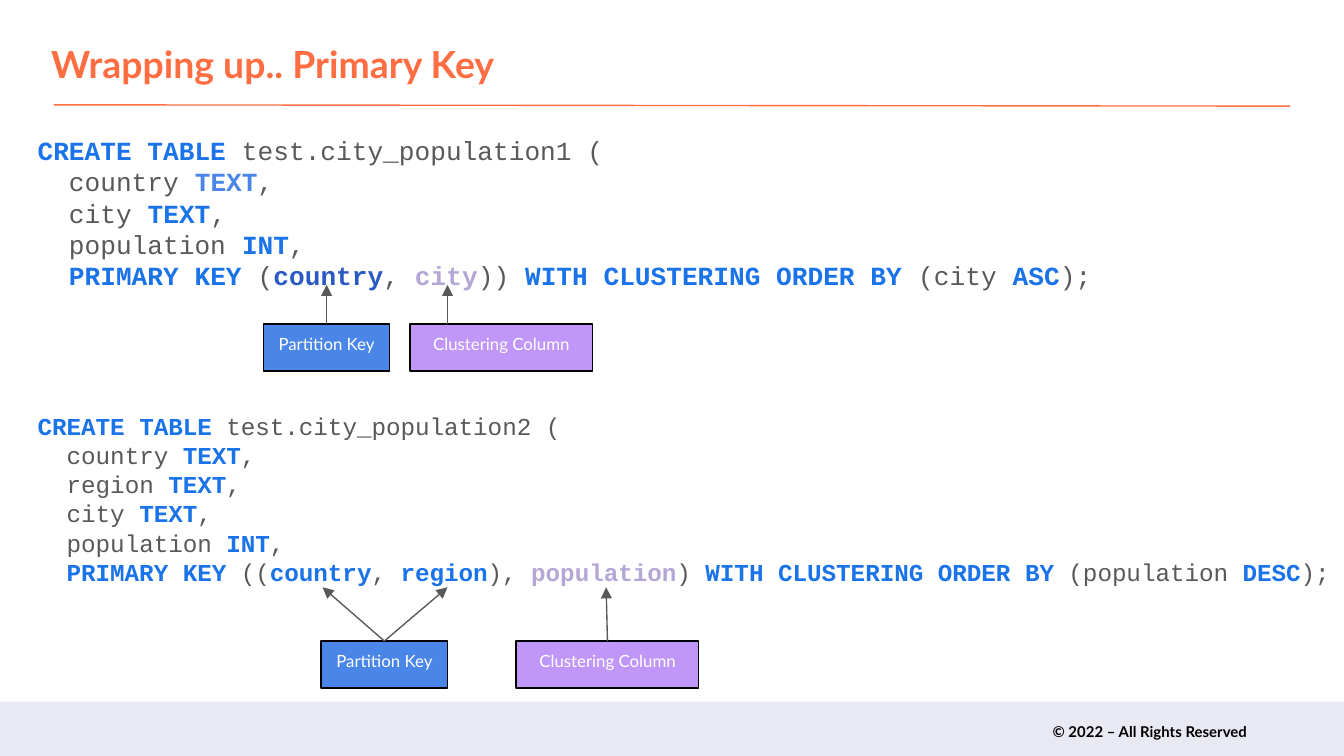
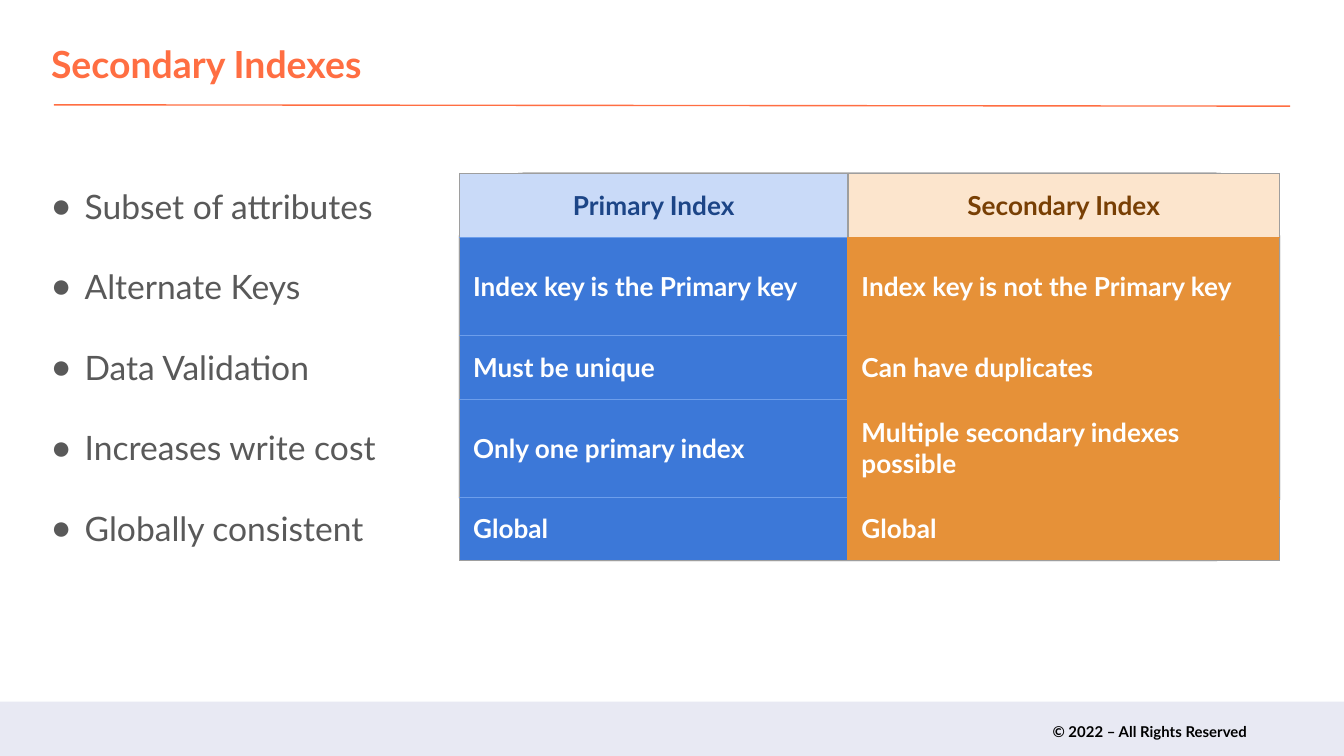
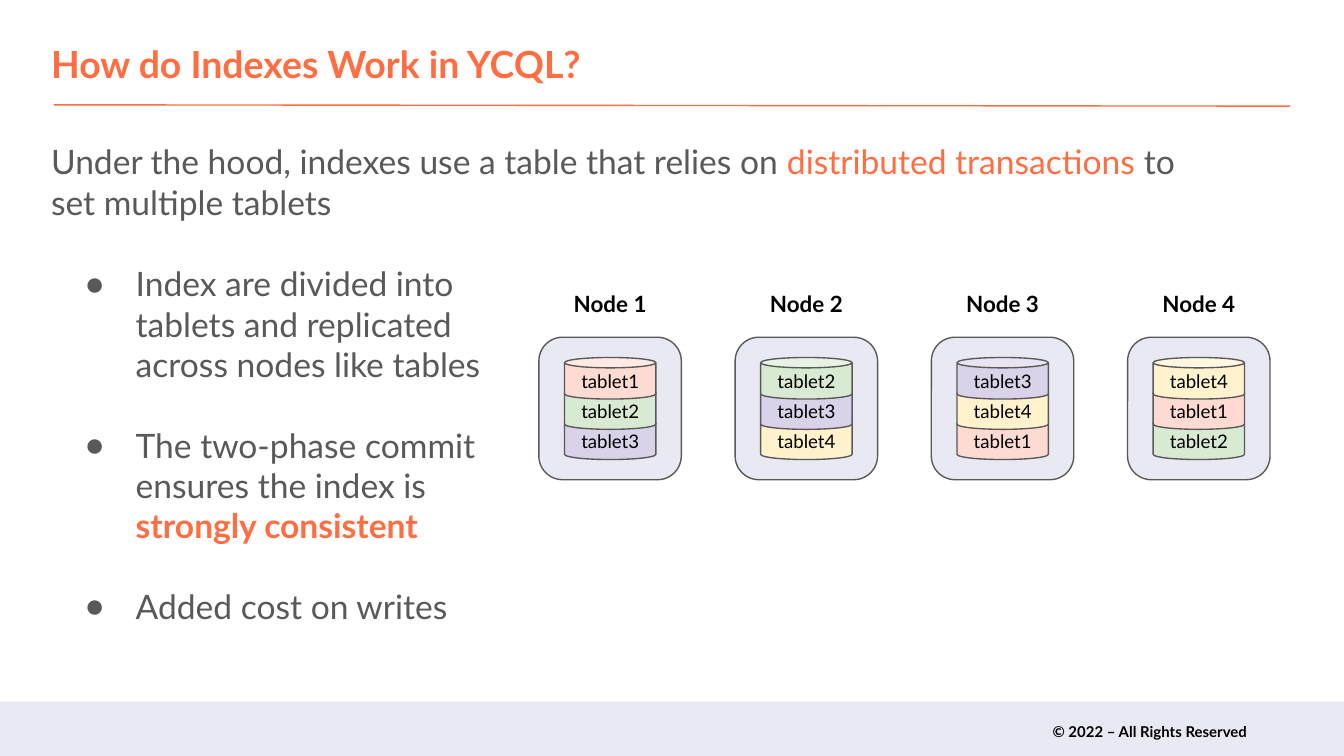
from pptx import Presentation
from pptx.dml.color import RGBColor
from pptx.enum.shapes import MSO_CONNECTOR, MSO_SHAPE
from pptx.enum.text import MSO_ANCHOR, MSO_AUTO_SIZE, PP_ALIGN
from pptx.oxml.ns import qn
from pptx.util import Inches, Pt
from lxml.etree import SubElement

UNIT = Inches(0.1)
WIDE, HIGH = 100, 56.25
HUES = dict(
    orange="FF6E42", ink="595959", mist="E8E9F3", black="000000", white="FFFFFF",
    key="1A73E8", sky="4A86E8", navy="2B59C3", lilac="B4A7D6", violet="C097F8",
)
MID, LEFT = PP_ALIGN.CENTER, PP_ALIGN.LEFT


def paint(part, tone):
    part.rgb = RGBColor.from_string(HUES.get(tone, tone))


def grid(*spans):
    return [round(span * UNIT) for span in spans]


def bullet(para, left, hang):
    props = para._p.get_or_add_pPr()
    props.set("marL", str(Inches(left)))
    props.set("indent", str(-Inches(hang)))
    if hang:
        tint = SubElement(props, qn("a:buClr"))
        SubElement(tint, qn("a:srgbClr"), val=HUES["ink"])
        SubElement(props, qn("a:buChar"), char="●")
    else:
        SubElement(props, qn("a:buNone"))


def put(frame, lines, size=18, tone="ink", font="Lato", bold=False, mark="orange",
        strong=True, align=LEFT, gap=0, dent=None):
    for row, line in enumerate(lines):
        para = frame.add_paragraph() if row else frame.paragraphs[0]
        if dent:
            bullet(para, *dent)
        para.alignment = align
        para.space_before = Pt(gap if row else 0)
        for turn, piece in enumerate(line.split("*")):
            if not piece:
                continue
            hue, _, word = piece.rpartition(":")
            run = para.add_run()
            run.text = word
            run.font.name, run.font.size = font, Pt(size)
            run.font.bold = strong if turn % 2 else bold
            paint(run.font.color, (hue or mark) if turn % 2 else tone)


def setup(frame, pad=(0.1, 0.1), anchor=MSO_ANCHOR.TOP):
    frame.word_wrap, frame.auto_size = True, MSO_AUTO_SIZE.NONE
    frame.vertical_anchor = anchor
    frame.margin_left = frame.margin_right = Inches(pad[0])
    frame.margin_top = frame.margin_bottom = Inches(pad[1])
    return frame


def note(slide, box, lines, pad=(0.1, 0.1), anchor=MSO_ANCHOR.TOP, **style):
    area = slide.shapes.add_textbox(*grid(*box))
    put(setup(area.text_frame, pad, anchor), lines, **style)


def hold(area, box, lines, **style):
    area.left, area.top, area.width, area.height = grid(*box)
    put(setup(area.text_frame), lines, **style)


def block(slide, kind, box, fill, line=None):
    shape = slide.shapes.add_shape(kind, *grid(*box))
    shape.shadow.inherit = False
    shape.fill.solid()
    paint(shape.fill.fore_color, fill)
    if line:
        paint(shape.line.color, line)
        shape.line.width = Pt(0.75)
    else:
        shape.line.fill.background()
    return shape


def rule(slide, start, end, tone, arrow=False):
    line = slide.shapes.add_connector(MSO_CONNECTOR.STRAIGHT, *grid(*start, *end))
    paint(line.line.color, tone)
    line.line.width = Pt(0.75)
    if arrow:
        SubElement(line.line._get_or_add_ln(), qn("a:tailEnd"), type="triangle")
    SubElement(line._element.spPr, qn("a:effectLst"))
    return line


def page(deck, layout, title):
    slide = deck.slides.add_slide(deck.slide_layouts[layout])
    block(slide, MSO_SHAPE.RECTANGLE, (0, 52.2, WIDE, HIGH - 52.2), "mist")
    note(slide, (73, 52.6, 20.8, 3.6), ["© 2022 – All Rights Reserved"], size=8,
         tone="black", bold=True, align=PP_ALIGN.RIGHT, anchor=MSO_ANCHOR.MIDDLE)
    rule(slide, (4, 7.8), (96, 7.9), "orange")
    hold(slide.shapes.title, (2.8, 2.1, 94.4, 5.2), [title], size=20,
         tone="orange", bold=True)
    return slide


def code(slide, box, size, lines):
    note(slide, box, lines, pad=(0.07, 0.04), size=size, font="Courier New",
         mark="key")


def tag(slide, box, text, fill, tips, start=None):
    left, top, width, _ = box
    shape = block(slide, MSO_SHAPE.RECTANGLE, box, fill, "black")
    put(setup(shape.text_frame, (0.1, 0.07)), [text], size=9, tone="white", align=MID)
    for tip in tips:
        line = rule(slide, (start or left + width / 2, top), tip, "ink", True)
        if start is None:
            line.begin_connect(shape, 0)


def edge(cell, side, tone):
    line = SubElement(cell._tc.get_or_add_tcPr(), qn("a:ln" + side), w=str(Pt(0.75)))
    SubElement(SubElement(line, qn("a:solidFill")), qn("a:srgbClr"), val=tone)


def table(slide, box, cols, rows, data):
    grey, seam = "9E9E9E", "E69138"
    heads = [("C9DAF8", "1C4587"), ("FCE5CD", "783F04")]
    fills, seams = ["3C78D8", seam], ["6D9EEB", seam]
    block(slide, MSO_SHAPE.ROUNDED_RECTANGLE, box, "mist", "ink")
    chart = slide.shapes.add_table(len(rows), len(cols), *grid(*box)).table
    chart.first_row = chart.horz_banding = False
    for col, width in zip(chart.columns, grid(*cols)):
        col.width = width
    for row, high in zip(chart.rows, grid(*rows)):
        row.height = high
    for r, texts in enumerate(data):
        for c, text in enumerate(texts):
            cell = chart.cell(r, c)
            fill, tone = (fills[c], "white") if r else heads[c]
            cell.vertical_anchor = MSO_ANCHOR.MIDDLE
            cell.margin_top = cell.margin_bottom = UNIT
            cell.margin_left = cell.margin_right = UNIT
            put(cell.text_frame, [text], size=14, tone=tone, bold=True,
                align=LEFT if r else MID)
            rim = {"L": not (c and r), "R": c or not r,
                   "T": not r, "B": r == len(rows) - 1}
            for side, outer in rim.items():
                inner = seam if side in "LR" else seams[c]
                edge(cell, side, grey if outer else inner)
            cell.fill.solid()
            paint(cell.fill.fore_color, fill)


def node(slide, box, index):
    left, top, width, _ = box
    tints = ["FEDBD2", "D9EAD3", "D9D2E9", "FFF2CC"]
    note(slide, (left, top, width, 3.6), [f"Node {index + 1}"], size=12,
         tone="black", bold=True, align=MID)
    block(slide, MSO_SHAPE.ROUNDED_RECTANGLE,
          (left + 0.8, top + 4.5, 10.6, 10.6), "mist", "ink")
    for step in (2, 1, 0):
        which = (index + step) % 4
        can = block(slide, MSO_SHAPE.CAN,
                    (left + 2.7, top + 6 + 2.25 * step, 6.8, 3.1), tints[which], "ink")
        put(setup(can.text_frame, anchor=MSO_ANCHOR.MIDDLE), [f"tablet{which + 1}"],
            size=10, tone="black", align=MID)


def keys(deck):
    slide = page(deck, 5, "Wrapping up.. Primary Key")
    code(slide, (2.1, 9.6, 92.3, 15.6), 14, [
        "*CREATE TABLE* test.city_population1 (",
        "  country *sky:TEXT*,",
        "  city *TEXT*,",
        "  population *INT*,",
        "  *PRIMARY KEY* (*navy:country*, *lilac:city*)) "
        "*WITH CLUSTERING ORDER BY* (city *ASC*);",
    ])
    code(slide, (2.1, 30.2, 104.2, 15.6), 13, [
        "*CREATE TABLE* test.city_population2 (",
        "  country *TEXT*,",
        "  region *TEXT*,",
        "  city *TEXT*,",
        "  population *INT*,",
        "  *PRIMARY KEY* ((*country*, *region*), *lilac:population*) "
        "*WITH CLUSTERING ORDER BY* (population *DESC*);",
    ])
    part, clus = "Partition Key", "Clustering Column"
    tag(slide, (19.6, 24.1, 9.4, 3.5), part, "sky", [(24.3, 21.2)])
    tag(slide, (30.5, 24.1, 13.6, 3.5), clus, "violet", [(33.3, 21.2)], start=33.3)
    tag(slide, (23.9, 47.7, 9.4, 3.5), part, "sky", [(24, 43.7), (33.3, 43.7)])
    tag(slide, (38.4, 47.7, 13.6, 3.5), clus, "violet", [(45.1, 43.7)])


def second(deck):
    slide = page(deck, 1, "Secondary Indexes")
    hold(slide.placeholders[1], (2.8, 12.8, 42.5, 31), [
        "Subset of attributes", "Alternate Keys", "Data Validation",
        "Increases write cost", "Globally consistent",
    ], gap=21.6, dent=(0.25, 0.25))
    table(slide, (34.2, 12.9, 61, 28.8), (28.9, 32.1), (4.75, 7.3, 4.75, 7.3, 4.7), [
        ("Primary Index", "Secondary Index"),
        ("Index key is the Primary key", "Index key is not the Primary key"),
        ("Must be unique", "Can have duplicates"),
        ("Only one primary index", "Multiple secondary indexes possible"),
        ("Global", "Global"),
    ])


def works(deck):
    slide = page(deck, 3, "How do Indexes Work in YCQL?")
    hold(slide.placeholders[1], (2.8, 9.5, 88.1, 7.4), [
        "Under the hood, indexes use a table that relies on "
        "*distributed transactions *to set multiple tablets",
    ], strong=False, dent=(0, 0))
    hold(slide.placeholders[2], (4.1, 18.6, 33.8, 31), [
        "Index are divided into tablets and replicated across nodes like tables",
        "The two-phase commit ensures the index is *strongly consistent*",
        "Added cost on writes",
    ], gap=21.6, dent=(0.5, 0.38))
    for index in range(4):
        node(slide, (39.3 + 14.6 * index, 20.6, 12.2, 15.1), index)


def main():
    deck = Presentation()
    deck.slide_width, deck.slide_height = grid(WIDE, HIGH)
    keys(deck)
    second(deck)
    works(deck)
    deck.save("out.pptx")


if __name__ == "__main__":
    main()
